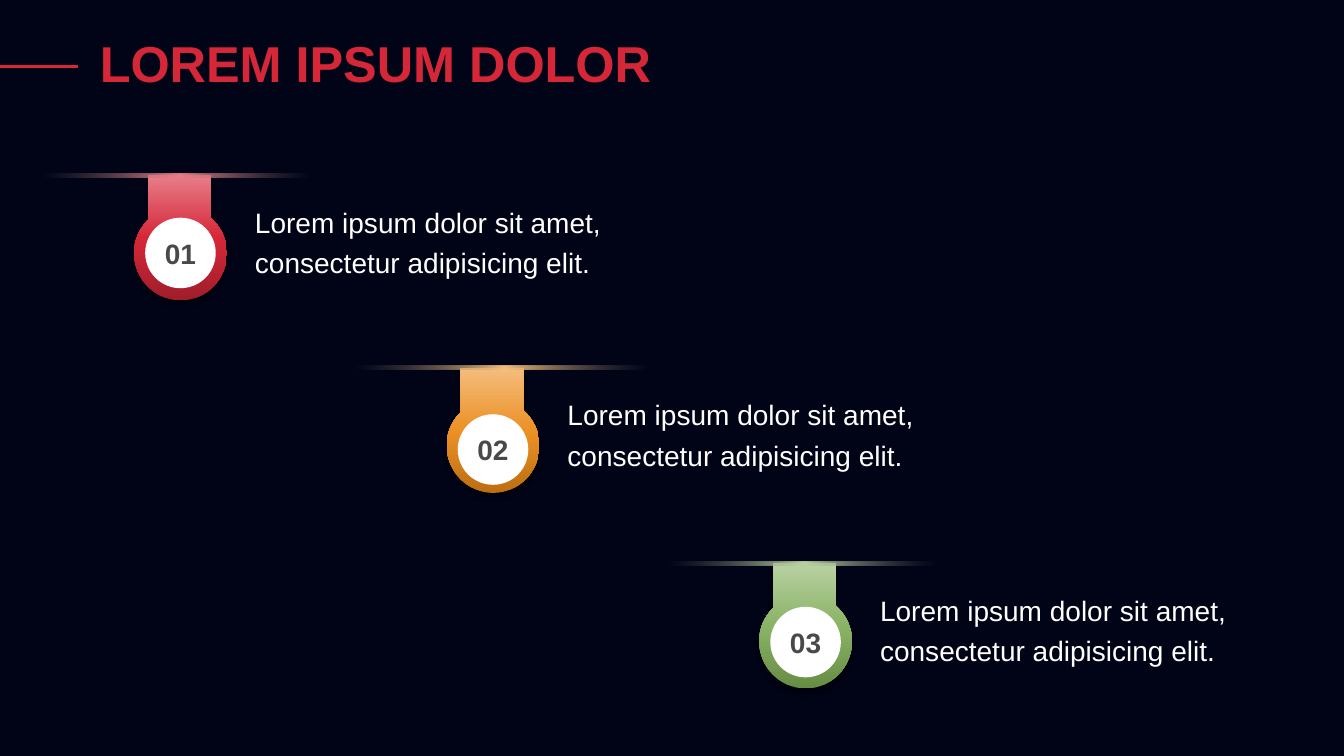
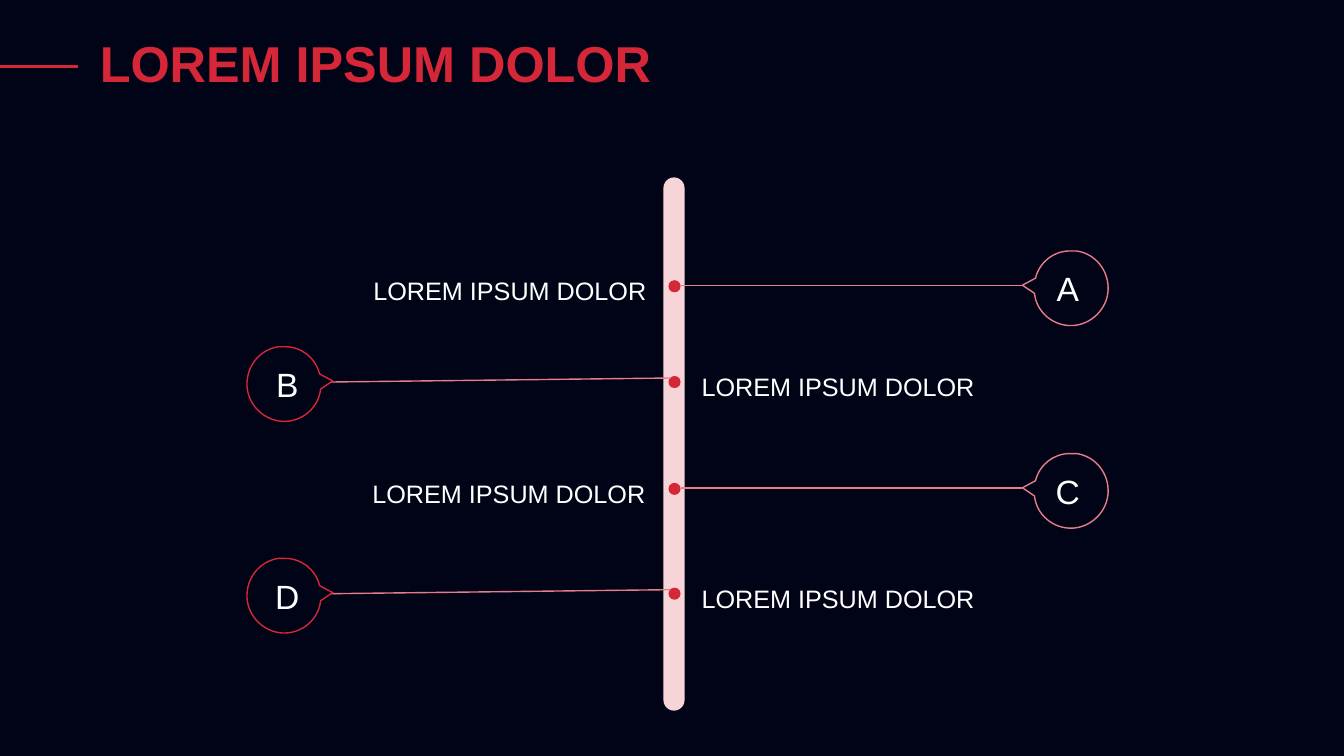
"""Build two dark slides: three hanging numbered pins and a lettered timeline."""
import pptx
import pptx.dml.color
import pptx.enum.shapes
import pptx.enum.text
import pptx.oxml.ns
import pptx.util
from lxml import etree

Inches, Pt = pptx.util.Inches, pptx.util.Pt
RGBColor = pptx.dml.color.RGBColor
SHAPE = pptx.enum.shapes.MSO_SHAPE
ALIGN = pptx.enum.text.PP_ALIGN
qn = pptx.oxml.ns.qn

NIGHT = RGBColor(0x01, 0x03, 0x17)
RED = RGBColor(0xD6, 0x27, 0x39)
DARK_RED = RGBColor(0xA0, 0x1D, 0x2B)
PINK = RGBColor(0xE7, 0x7D, 0x88)
PALE_PINK = RGBColor(0xF7, 0xD4, 0xD7)
ORANGE = RGBColor(0xEC, 0x91, 0x26)
DARK_ORANGE = RGBColor(0xBD, 0x6E, 0x11)
PEACH = RGBColor(0xF4, 0xBD, 0x7D)
GREEN = RGBColor(0x8A, 0xB3, 0x65)
DARK_GREEN = RGBColor(0x67, 0x8D, 0x45)
SAGE = RGBColor(0xB9, 0xD1, 0xA3)
GREY = RGBColor(0x5F, 0x5F, 0x5F)
CHARCOAL = RGBColor(0x49, 0x49, 0x49)
WHITE = RGBColor(0xFF, 0xFF, 0xFF)
BLACK = RGBColor(0, 0, 0)

FONT = "Arial"
TITLE = "LOREM IPSUM DOLOR"
PIN_TEXT = "Lorem ipsum dolor sit amet, consectetur adipisicing elit."
PINS = [
    {"number": "01", "top": 1.74, "badge_top": 2.16, "bar": (0.42, 2.72),
     "shades": (DARK_RED, RED, PINK)},
    {"number": "02", "top": 3.65, "badge_top": 4.11, "bar": (3.52, 2.97),
     "shades": (DARK_ORANGE, ORANGE, PEACH)},
    {"number": "03", "top": 5.59, "badge_top": 6.02, "bar": (6.62, 2.72),
     "shades": (DARK_GREEN, GREEN, SAGE)},
]
PIN_LEFT, PIN_STEP = 1.33, 3.1

STOPS = [
    {"letter": "A", "label": "LOREM IPSUM DOLOR", "dot_top": 2.78, "label_left": 1.87, "side": 1},
    {"letter": "B", "label": "LOREM IPSUM DOLOR", "dot_top": 3.73, "label_left": 6.86, "side": -1},
    {"letter": "C", "label": "LOREM IPSUM DOLOR", "dot_top": 4.79, "label_left": 1.86, "side": 1},
    {"letter": "D", "label": "LOREM IPSUM DOLOR", "dot_top": 5.83, "label_left": 6.86, "side": -1},
]
SIDES = {
    1: {"center": 10.62, "line": ((6.75, 0.05), (10.14, 0.05)), "color": PINK,
        "align": ALIGN.RIGHT, "insets": (0.05, 0, 0, 0)},
    -1: {"center": 2.82, "line": ((6.65, 0.02), (3.28, 0.06)), "color": RED,
         "align": ALIGN.LEFT, "insets": (0, 0, 0.05, 0)},
}

HANGER = [
    [(0.14, 0)],
    [(0.76, 0)],
    [(0.76, 0.42)],
    [(0.86, 0.51), (0.92, 0.63), (0.92, 0.77)],
    [(0.92, 1.03), (0.72, 1.24), (0.46, 1.24)],
    [(0.21, 1.24), (0, 1.03), (0, 0.77)],
    [(0, 0.64), (0.05, 0.53), (0.14, 0.44)],
]
BUBBLE = [
    [(-0.01, -0.37)],
    [(0.02, -0.37), (0.04, -0.37), (0.06, -0.37)],
    [(0.25, -0.34), (0.38, -0.17), (0.37, 0.02)],
    [(0.36, 0.21), (0.2, 0.36), (0.02, 0.37)],
    [(-0.17, 0.38), (-0.34, 0.24), (-0.36, 0.05)],
    [(-0.48, -0.03)],
    [(-0.35, -0.1)],
    [(-0.31, -0.26), (-0.17, -0.37), (-0.01, -0.37)],
]


def write(shape, text, size, color, bold=False, align=ALIGN.LEFT, spacing=None,
          insets=(0.1, 0.05, 0.1, 0.05), wrap=True):
    frame = shape.text_frame
    frame.text = text
    frame.word_wrap = wrap
    frame.vertical_anchor = pptx.enum.text.MSO_ANCHOR.MIDDLE
    frame.margin_left, frame.margin_top, frame.margin_right, frame.margin_bottom = map(Inches, insets)
    paragraph = frame.paragraphs[0]
    paragraph.alignment = align
    paragraph.line_spacing = spacing
    font = paragraph.runs[0].font
    font.name, font.size, font.bold = FONT, Pt(size), bold
    font.color.rgb = color


def add_label(slide, box, *args, **style):
    write(slide.shapes.add_textbox(*map(Inches, box)), *args, **style)


def paint(shape, fill=None, line=None):
    shape.shadow.inherit = False
    if fill is None:
        shape.fill.background()
    else:
        shape.fill.solid()
        shape.fill.fore_color.rgb = fill
    if line is None:
        shape.line.fill.background()
    else:
        shape.line.color.rgb = line
        shape.line.width = Pt(1)
    return shape


def add_block(slide, kind, box, fill):
    return paint(slide.shapes.add_shape(kind, *map(Inches, box)), fill)


def add_rule(slide, start, end, color, width):
    rule = slide.shapes.add_connector(
        pptx.enum.shapes.MSO_CONNECTOR.STRAIGHT, *map(Inches, (*start, *end)))
    rule.line.color.rgb = color
    rule.line.width = Pt(width)
    etree.SubElement(rule.element.spPr, qn("a:effectLst"))


def add_outline(slide, outline, origin, side=1, fill=None, line=None):
    left, top = origin
    segments = [[(Inches(left + side * x), Inches(top + y)) for x, y in points] for points in outline]
    start, *anchors = [points[-1] for points in segments]
    builder = slide.shapes.build_freeform(*start)
    builder.add_line_segments(anchors, close=True)
    shape = builder.convert_to_shape()
    for step, points in zip(list(shape.element.spPr.iter(qn("a:lnTo"))), segments[1:]):
        if len(points) == 3:
            curve = etree.Element(qn("a:cubicBezTo"))
            for x, y in points:
                etree.SubElement(curve, qn("a:pt"), x=str(x - shape.left), y=str(y - shape.top))
            step.getparent().replace(step, curve)
    return paint(shape, fill, line)


def add_color(parent, color, alpha):
    tint = etree.SubElement(parent, qn("a:srgbClr"), val=str(color))
    if alpha < 100:
        etree.SubElement(tint, qn("a:alpha"), val=str(alpha * 1000))


def shade(shape, angle, stops):
    shape.fill.gradient()
    gradient = shape.element.spPr.find(qn("a:gradFill"))
    gradient.clear()
    gradient.set("rotWithShape", "1")
    stop_list = etree.SubElement(gradient, qn("a:gsLst"))
    for position, color, alpha in stops:
        stop = etree.SubElement(stop_list, qn("a:gs"), pos=str(position * 1000))
        add_color(stop, color, alpha)
    etree.SubElement(gradient, qn("a:lin"), ang=str(angle * 60000), scaled="0")


def drop_shadow(shape):
    effects = shape.element.spPr.find(qn("a:effectLst"))
    shadow = etree.SubElement(effects, qn("a:outerShdw"), blurRad=str(Pt(4)), dist=str(Pt(3)),
                              dir="5400000", algn="t", rotWithShape="0")
    add_color(shadow, BLACK, 40)


def add_titled_slide(deck):
    slide = deck.slides.add_slide(deck.slide_layouts[6])
    add_rule(slide, (0, 0.66), (0.77, 0.66), RED, 2.25)
    add_label(slide, (0.92, 0.19, 11.5, 0.94), TITLE, 36, RED, bold=True, spacing=0.9,
              insets=(0.07, 0.04, 0.07, 0.04))
    return slide


def add_pin(slide, index, pin):
    left, top = PIN_LEFT + index * PIN_STEP, pin["top"]
    dark, middle, light = pin["shades"]
    add_label(slide, (left + 1.1, top + 0.02, 4.28, 1.22), PIN_TEXT, 20, WHITE, spacing=1.2)
    hanger = add_outline(slide, HANGER, (left, top), fill=middle)
    shade(hanger, 270, [(0, dark, 100), (50, middle, 100), (100, light, 100)])
    drop_shadow(hanger)
    badge = add_block(slide, SHAPE.OVAL, (left + 0.11, pin["badge_top"], 0.7, 0.7), WHITE)
    write(badge, pin["number"], 20, CHARCOAL, bold=True, align=ALIGN.CENTER,
          insets=(0, 0, 0, 0), wrap=False)
    bar_left, bar_width = pin["bar"]
    bar = add_block(slide, SHAPE.RECTANGLE, (bar_left, top - 0.02, bar_width, 0.04), light)
    shade(bar, 180, [(2, GREY, 0), (50, light, 100), (100, GREY, 0)])


def add_stop(slide, stop):
    top, side = stop["dot_top"], stop["side"]
    look = SIDES[side]
    add_block(slide, SHAPE.OVAL, (6.63, top, 0.12, 0.12), RED)
    start, end = [(x, top + drop) for x, drop in look["line"]]
    add_rule(slide, start, end, PINK, 1)
    callout = add_outline(slide, BUBBLE, (look["center"], top + 0.08), side, line=look["color"])
    write(callout, stop["letter"], 24, WHITE, align=ALIGN.CENTER, insets=look["insets"])
    add_label(slide, (stop["label_left"], top - 0.38, 4.64, 0.88), stop["label"], 18, WHITE,
              align=look["align"], spacing=1.3)


def main():
    deck = pptx.Presentation()
    deck.slide_width, deck.slide_height = Inches(13.33), Inches(7.5)
    backdrop = deck.slide_master.background.fill
    backdrop.solid()
    backdrop.fore_color.rgb = NIGHT

    pin_slide = add_titled_slide(deck)
    for index, pin in enumerate(PINS):
        add_pin(pin_slide, index, pin)

    timeline_slide = add_titled_slide(deck)
    spine = add_block(timeline_slide, SHAPE.ROUNDED_RECTANGLE, (6.58, 1.76, 0.21, 5.29), PALE_PINK)
    spine.adjustments[0] = 0.5
    for stop in STOPS:
        add_stop(timeline_slide, stop)

    deck.save("out.pptx")


if __name__ == "__main__":
    main()
